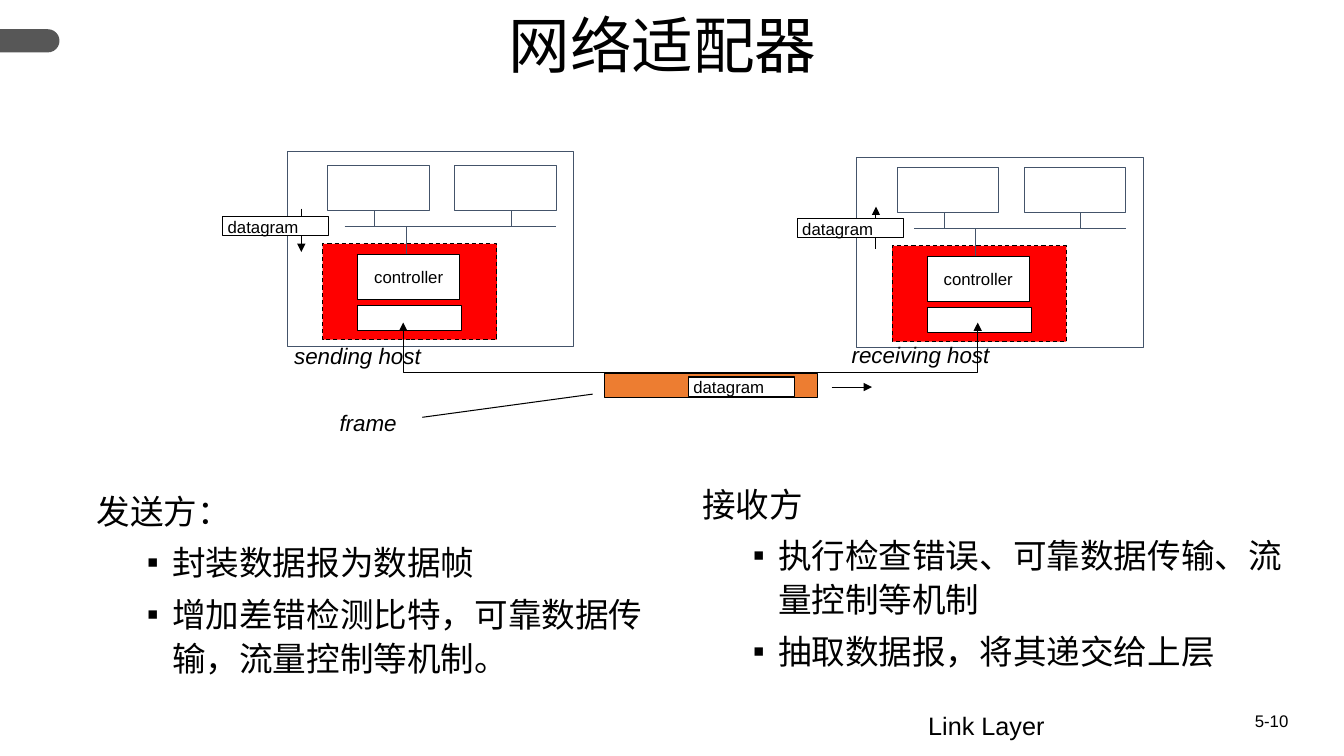
from lxml import etree
from pptx import Presentation
from pptx.dml.color import RGBColor
from pptx.enum.dml import MSO_LINE
from pptx.enum.shapes import MSO_CONNECTOR, MSO_SHAPE
from pptx.enum.text import MSO_ANCHOR, PP_ALIGN
from pptx.oxml.ns import qn
from pptx.util import Inches, Pt

RECTANGLE = MSO_SHAPE.RECTANGLE
TAB = MSO_SHAPE.ROUND_2_SAME_RECTANGLE
STRAIGHT = MSO_CONNECTOR.STRAIGHT
DASH = MSO_LINE.DASH
TOP, MIDDLE = MSO_ANCHOR.TOP, MSO_ANCHOR.MIDDLE
LEFT, CENTER = PP_ALIGN.LEFT, PP_ALIGN.CENTER

BLACK = RGBColor(0x00, 0x00, 0x00)
WHITE = RGBColor(0xFF, 0xFF, 0xFF)
GRAY = RGBColor(0x57, 0x57, 0x57)
SLATE = RGBColor(0x44, 0x54, 0x6A)
RED = RGBColor(0xFF, 0x00, 0x00)
ORANGE = RGBColor(0xED, 0x7D, 0x31)
LATIN_FONT = "Arial"
CHINESE_FONT = "Noto Sans CJK SC"

CELL = Inches(0.1)  # the slide is a grid of square cells
SLIDE_COLUMNS, SLIDE_ROWS = 133.33, 75
LINE_WIDTH = Pt(0.75)


def cells(*counts):
    return [round(count * CELL) for count in counts]


def format_paragraph(paragraph, size, font=LATIN_FONT, italic=False, align=LEFT):
    paragraph.alignment = align
    paragraph.font.size = Pt(size)
    paragraph.font.name = font
    paragraph.font.italic = italic
    paragraph.font.color.rgb = BLACK
    if font == CHINESE_FONT:
        properties = paragraph._p.pPr.find(qn("a:defRPr"))
        etree.SubElement(properties, qn("a:ea"), typeface=font)


def add_rectangle(slide, left, top, width, height, fill=WHITE, line=BLACK, dash=None):
    shape = slide.shapes.add_shape(RECTANGLE, *cells(left, top, width, height))
    shape.shadow.inherit = False
    shape.fill.solid()
    shape.fill.fore_color.rgb = fill
    shape.line.color.rgb = line
    shape.line.width = LINE_WIDTH
    if dash:
        shape.line.dash_style = dash
    return shape


def add_arrowheads(shape, *ends):
    """Put triangles on the given ends; "headEnd" must come before "tailEnd"."""
    line = shape.line._get_or_add_ln()
    for end in ends:
        etree.SubElement(line, qn(f"a:{end}"), type="triangle")


def add_line(slide, start, end, color=BLACK, arrow=False):
    connector = slide.shapes.add_connector(STRAIGHT, *cells(*start, *end))
    connector.line.color.rgb = color
    connector.line.width = LINE_WIDTH
    if arrow:
        add_arrowheads(connector, "tailEnd")
    etree.SubElement(connector._element.spPr, qn("a:effectLst"))


def add_label(slide, left, top, width, height, text, size, italic=False):
    box = slide.shapes.add_textbox(*cells(left, top, width, height))
    box.text_frame.word_wrap = False
    paragraph = box.text_frame.paragraphs[0]
    paragraph.text = text
    format_paragraph(paragraph, size, italic=italic)


def add_corner_tab(slide, top, width, height):
    """The preset is upright, so it is turned to point right from the slide's edge."""
    shift = (width - height) / 2
    tab = slide.shapes.add_shape(TAB, *cells(shift, top - shift, height, width))
    tab.rotation = 90
    tab.adjustments[0] = 0.5
    tab.shadow.inherit = False
    tab.fill.solid()
    tab.fill.fore_color.rgb = GRAY
    tab.line.fill.background()


def add_title(slide, left, top, width, height, text):
    title = slide.shapes.title
    title.left, title.top, title.width, title.height = cells(left, top, width, height)
    title.text_frame.text = text
    title.text_frame.vertical_anchor = TOP
    paragraph = title.text_frame.paragraphs[0]
    paragraph.line_spacing = 0.9
    format_paragraph(paragraph, 44, CHINESE_FONT, align=CENTER)


def add_duties(slide, left, top, width, height, heading, duties):
    """A heading with a bulleted list below it."""
    frame = slide.shapes.add_textbox(*cells(left, top, width, height)).text_frame
    frame.word_wrap = True
    paragraph = frame.paragraphs[0]
    paragraph.text = heading
    paragraph.line_spacing = 1.1
    format_paragraph(paragraph, 24, CHINESE_FONT)
    for duty in duties:
        paragraph = frame.add_paragraph()
        paragraph.text = duty
        paragraph.level = 1
        paragraph.line_spacing = 1.1
        paragraph.space_before = Pt(5)
        properties = paragraph._p.get_or_add_pPr()
        properties.set("marL", str(Inches(0.75)))
        properties.set("indent", str(Inches(-0.25)))
        etree.SubElement(properties, qn("a:buFont"), typeface=LATIN_FONT)
        etree.SubElement(properties, qn("a:buChar"), char="▪")
        format_paragraph(paragraph, 24, CHINESE_FONT)


def add_datagram(slide, left, top):
    add_rectangle(slide, left, top, 10.5, 1.9)
    add_label(slide, left - 0.5, top - 0.5, 9.1, 3, "datagram", 12)


def add_host(slide, left, top, height, inner_top):
    """A host with two upper parts on a bus, and its adapter below the bus."""
    add_rectangle(slide, left, top, 28.4, height, line=SLATE)
    add_rectangle(slide, left + 3.5, inner_top + 9.2, 17.3, 9.5, RED, dash=DASH)
    add_rectangle(slide, left + 7, inner_top + 15.3, 10.3, 2.5)
    controller = add_rectangle(slide, left + 7, inner_top + 10.2, 10.1, 4.5)
    controller.text_frame.word_wrap = False
    controller.text_frame.vertical_anchor = MIDDLE
    paragraph = controller.text_frame.paragraphs[0]
    paragraph.text = "controller"
    format_paragraph(paragraph, 12, align=CENTER)

    bus = inner_top + 7.5
    add_line(slide, (left + 5.7, bus), (left + 26.7, bus), SLATE)
    add_line(slide, (left + 11.8, bus + 2.7), (left + 11.8, bus), SLATE)
    for part, stem in ((4, 8.7), (16.6, 22.2)):
        add_rectangle(slide, left + part, inner_top + 1.4, 10.1, 4.5, line=SLATE)
        add_line(slide, (left + stem, bus), (left + stem, bus - 1.6), SLATE)


def add_link(slide, left, top, right, bottom):
    """The cable that joins the two adapters, with an arrowhead at both ends."""
    builder = slide.shapes.build_freeform(left, top, scale=CELL)
    builder.add_line_segments(
        [(left, bottom), (right, bottom), (right, top + 0.2)], close=False
    )
    link = builder.convert_to_shape()
    link.shadow.inherit = False
    link.fill.background()
    link.line.color.rgb = BLACK
    link.line.width = LINE_WIDTH
    add_arrowheads(link, "headEnd", "tailEnd")


def add_frame(slide, left, top):
    """The frame in transit, with its datagram, direction and caption."""
    add_rectangle(slide, left, top, 21.1, 2.3, ORANGE)
    add_datagram(slide, left + 8.3, top + 0.3)
    add_line(slide, (left + 22.5, top + 1.3), (left + 26.5, top + 1.3), arrow=True)
    add_label(slide, left - 27.3, top + 3, 7.8, 3.7, "frame", 16, italic=True)
    add_line(slide, (left - 18.1, top + 4.3), (left - 1.2, top + 2))


def build_adapter_slide(presentation):
    slide = presentation.slides.add_slide(presentation.slide_layouts[5])
    add_corner_tab(slide, 2.9, 5.9, 2.3)
    add_title(slide, 0, 1, 131.5, 12.5, "网络适配器")
    add_host(slide, 28.5, 15, 19.4, inner_top=15)
    add_host(slide, 85, 15.6, 18.9, inner_top=15.2)
    add_label(slide, 28.2, 33.5, 14.7, 3.7, "sending host", 16, italic=True)
    add_label(slide, 83.5, 33.4, 15.9, 3.7, "receiving host", 16, italic=True)
    add_line(slide, (29.9, 20.7), (29.9, 25), arrow=True)
    add_datagram(slide, 22.1, 21.5)
    add_line(slide, (86.9, 24.7), (86.9, 20.5), arrow=True)
    add_datagram(slide, 79.1, 21.7)
    add_link(slide, 40.4, 31.8, 97, 36.6)
    add_frame(slide, 60, 37.1)
    add_duties(slide, 8.6, 47.8, 59.3, 21.2, "发送方：", [
        "封装数据报为数据帧",
        "增加差错检测比特，可靠数据传输，流量控制等机制。",
    ])
    add_duties(slide, 68.7, 47.1, 59.7, 20.2, "接收方", [
        "执行检查错误、可靠数据传输、流量控制等机制",
        "抽取数据报，将其递交给上层",
    ])
    add_label(slide, 91.1, 70, 42.2, 5, "Link Layer", 18)
    add_label(slide, 123.5, 70, 9.8, 5, "5-10", 12)


def main():
    presentation = Presentation()
    presentation.slide_width, presentation.slide_height = cells(SLIDE_COLUMNS, SLIDE_ROWS)
    build_adapter_slide(presentation)
    presentation.save("out.pptx")


if __name__ == "__main__":
    main()
